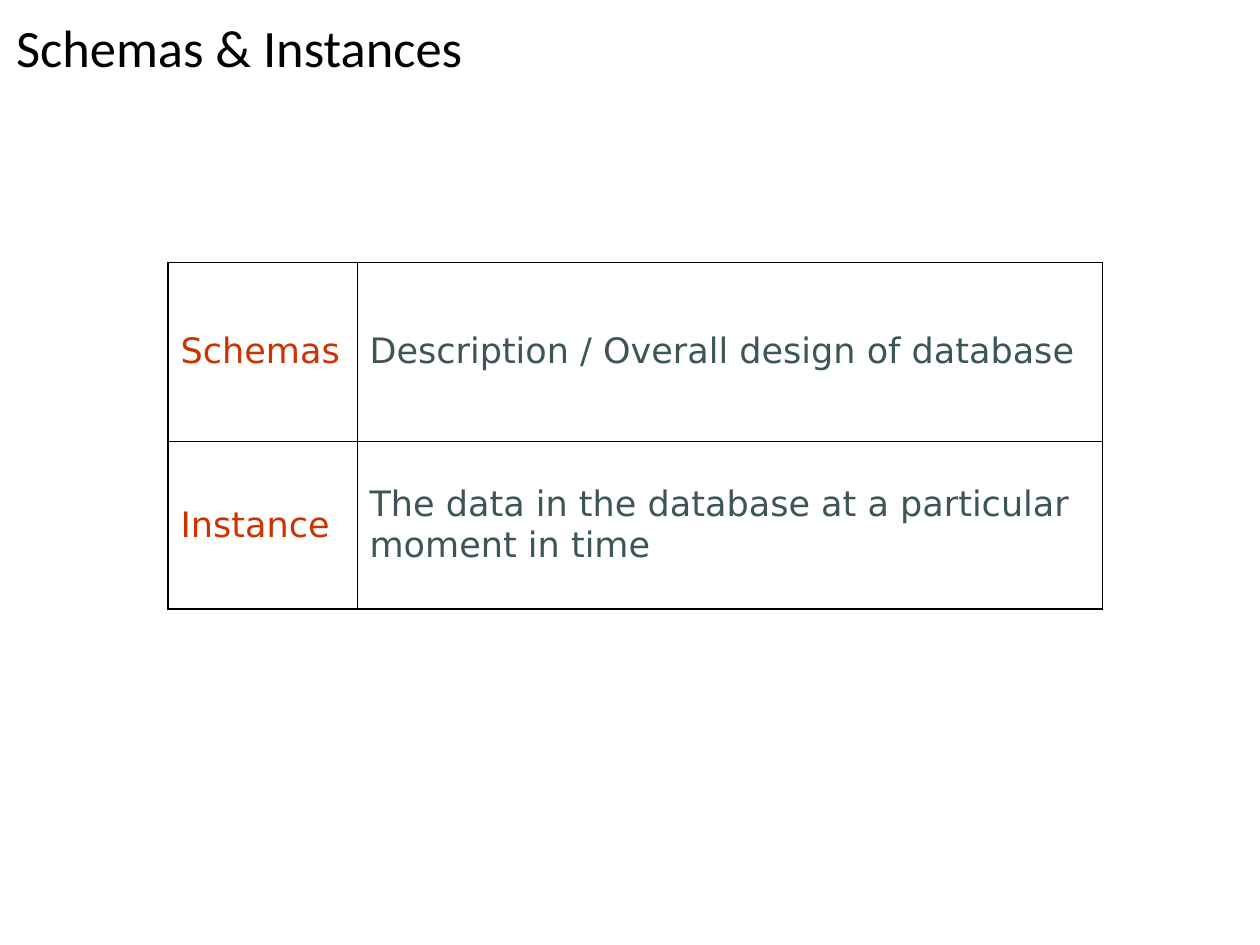
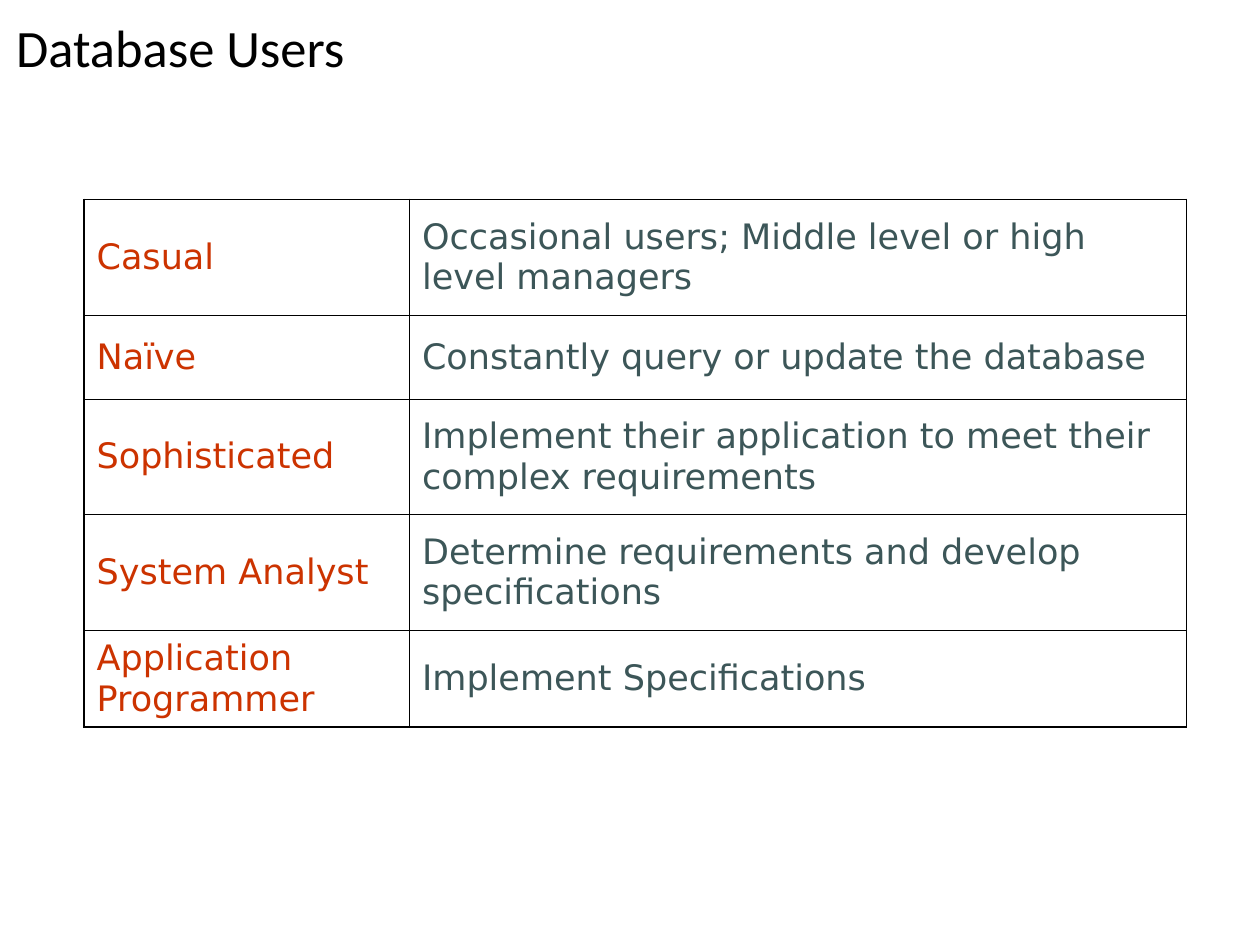
from lxml.etree import SubElement
from pptx import Presentation
from pptx.dml.color import RGBColor
from pptx.enum.text import MSO_ANCHOR, MSO_AUTO_SIZE, PP_ALIGN
from pptx.oxml.ns import qn
from pptx.util import Pt

COLORS = {"title": "000000", "border": "000000", "term": "CC3300", "meaning": "3C5658"}
TITLE_FONT, TABLE_FONT = "Calibri", "DejaVu Sans"
TITLE_BOX = (2, 12, 526, 34)
OUTER_LINE, INNER_LINE = 1.08, 0.45

SCHEMAS = [
    ("Schemas", "Description / Overall design of database"),
    ("Instance", "The data in the database at a particular moment in time"),
]
USERS = [
    ("Casual", "Occasional users; Middle level or high level managers"),
    ("Naïve", "Constantly query or update the database"),
    ("Sophisticated", "Implement their application to meet their complex requirements"),
    ("System Analyst", "Determine requirements and develop specifications"),
    ("Application Programmer", "Implement Specifications"),
]


def style_font(font, name, size, color):
    font.name = name
    font.size = Pt(size)
    font.color.rgb = RGBColor.from_string(COLORS[color])


def add_title(slide, text, box):
    title = slide.shapes.title
    title.left, title.top, title.width, title.height = map(Pt, box)
    frame = title.text_frame
    frame.text = text
    frame.auto_size = MSO_AUTO_SIZE.NONE
    frame.vertical_anchor = MSO_ANCHOR.MIDDLE
    paragraph = frame.paragraphs[0]
    paragraph.alignment = PP_ALIGN.LEFT
    paragraph.line_spacing = 0.9
    style_font(paragraph.font, TITLE_FONT, 30, "title")


def set_borders(cell, outer_sides):
    """Draw all four cell borders, heavier on the sides at the table's edge."""
    properties = cell._tc.get_or_add_tcPr()
    for side, is_outer in outer_sides.items():
        width = Pt(OUTER_LINE if is_outer else INNER_LINE)
        line = SubElement(properties, qn(f"a:ln{side}"), w=str(width))
        fill = SubElement(line, qn("a:solidFill"))
        SubElement(fill, qn("a:srgbClr"), val=COLORS["border"])


def fill_cell(cell, text, color):
    cell.fill.background()
    cell.vertical_anchor = MSO_ANCHOR.MIDDLE
    cell.text = text
    paragraph = cell.text_frame.paragraphs[0]
    paragraph.space_before = Pt(5)
    style_font(paragraph.font, TABLE_FONT, 20, color)


def add_definitions(slide, entries, left, top, widths, heights):
    """Add a two-column table of terms and their meanings."""
    table = slide.shapes.add_table(
        len(entries), 2, Pt(left), Pt(top), Pt(sum(widths)), Pt(sum(heights))
    ).table
    table.first_row = table.horz_banding = False
    for column, width in zip(table.columns, widths):
        column.width = Pt(width)
    for row, height in zip(table.rows, heights):
        row.height = Pt(height)
    for r, entry in enumerate(entries):
        for c, (text, color) in enumerate(zip(entry, ("term", "meaning"))):
            cell = table.cell(r, c)
            set_borders(cell, {"L": c == 0, "R": c == 1,
                               "T": r == 0, "B": r == len(entries) - 1})
            fill_cell(cell, text, color)


def add_definition_slide(deck, title, entries, left, top, widths, heights):
    slide = deck.slides.add_slide(deck.slide_layouts.get_by_name("Title Only"))
    add_title(slide, title, TITLE_BOX)
    add_definitions(slide, entries, left, top, widths, heights)


def main():
    deck = Presentation()
    deck.slide_width, deck.slide_height = Pt(720), Pt(540)
    add_definition_slide(deck, "Schemas & Instances", SCHEMAS, 96, 150,
                         (108, 426), (102, 96))
    add_definition_slide(deck, "Database Users", USERS, 48, 114,
                         (186, 444), (66, 48, 66, 66, 55.5))
    deck.save("out.pptx")


if __name__ == "__main__":
    main()
